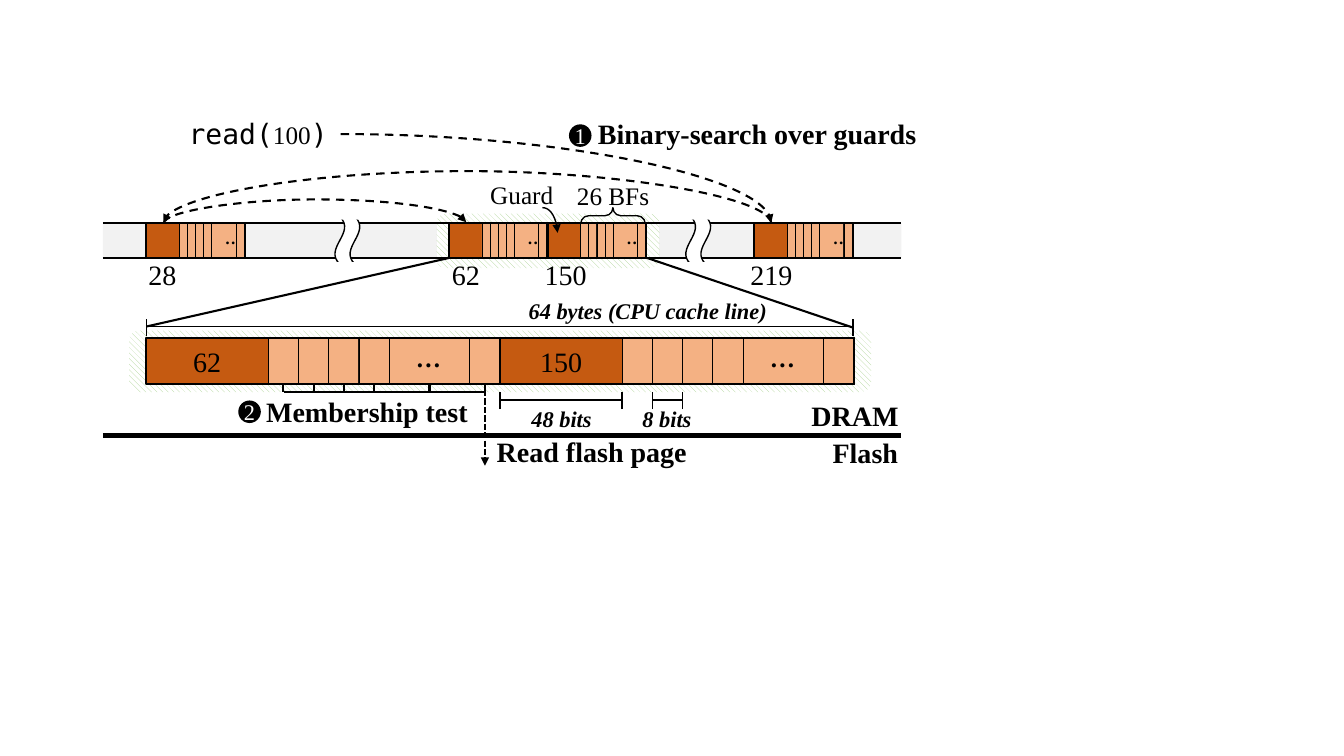
"""Build the slide on binary search over guards and membership tests in a cache line."""
from lxml import etree
from pptx import Presentation
from pptx import util as u
from pptx.dml.color import RGBColor
from pptx.enum import dml, shapes, text
from pptx.oxml.ns import qn


class Theme:
    black, white = "000000", "FFFFFF"
    guard, filter, band, halo = "C55A11", "F4B183", "F2F2F2", "A9D18E"
    serif, mono = "Times New Roman", "DejaVu Sans Mono"
    large, medium, small, tiny = 20, 18, 16, 12


KIND, LINK, DASH = shapes.MSO_SHAPE, shapes.MSO_CONNECTOR, dml.MSO_LINE
CENTER, LEFT = text.PP_ALIGN.CENTER, text.PP_ALIGN.LEFT

prs = Presentation()
prs.slide_width, prs.slide_height = u.Inches(13.33), u.Inches(7.5)
slide = prs.slides.add_slide(prs.slide_layouts[6])


def put(at, words="", kind=None, fill=None, edge=0, size=Theme.large, font=Theme.serif,
        color=Theme.black, bold=False, italic=False, align=CENTER, wrap=False,
        turn=0, adjust=()):
    """Place a text box, or a shape of the given kind, with formatted text."""
    place = [u.Inches(length) for length in at]
    if kind is None:
        box = slide.shapes.add_textbox(*place)
    else:
        box = slide.shapes.add_shape(kind, *place)
        box.shadow.inherit = False
        box.rotation = turn
        for index, value in enumerate(adjust):
            box.adjustments[index] = value
        if fill:
            box.fill.solid()
            box.fill.fore_color.rgb = RGBColor.from_string(fill)
        else:
            box.fill.background()
        if edge:
            box.line.color.rgb = RGBColor.from_string(Theme.black)
            box.line.width = u.Pt(edge)
        else:
            box.line.fill.background()
    if words:
        frame = box.text_frame
        frame.word_wrap = wrap
        if kind is not None:
            frame.vertical_anchor = text.MSO_ANCHOR.MIDDLE
            frame.margin_left = frame.margin_right = frame.margin_top = frame.margin_bottom = 0
        paragraph = frame.paragraphs[0]
        paragraph.alignment = align
        runs = [(words, size, font)] if isinstance(words, str) else words
        for part, part_size, part_font in runs:
            run = paragraph.add_run()
            run.text = part
            run.font.size, run.font.name = u.Pt(part_size), part_font
            run.font.bold, run.font.italic = bold, italic
            run.font.color.rgb = RGBColor.from_string(color)
    return box


def link(start, end, width=1.5, dash=None, arrow=False, kind=LINK.STRAIGHT):
    """Draw a connector between two points."""
    joint = slide.shapes.add_connector(kind, *[u.Inches(v) for v in (*start, *end)])
    joint.line.color.rgb = RGBColor.from_string(Theme.black)
    joint.line.width = u.Pt(width)
    if dash:
        joint.line.dash_style = dash
    if arrow:
        etree.SubElement(joint.line._get_or_add_ln(), qn("a:tailEnd"), type="triangle")
    etree.SubElement(joint._element.spPr, qn("a:effectLst"))
    return joint


put((1.02, 2.21, 7.92, 0.35), kind=KIND.RECTANGLE, fill=Theme.band)
for at in [(4.33, 2.12, 2.21, 0.54), (1.28, 3.28, 7.36, 0.61)]:
    halo = put(at, kind=KIND.ROUNDED_RECTANGLE)
    halo.fill.patterned()
    halo.fill.pattern = dml.MSO_PATTERN.WIDE_DOWNWARD_DIAGONAL
    halo.fill.fore_color.rgb = RGBColor.from_string(Theme.halo)
    halo.fill.back_color.rgb = RGBColor.from_string(Theme.white)

for y, width in [(2.21, 1.5), (2.56, 1.5), (4.32, 3)]:
    link((1.02, y), (8.94, y), width)

for x in (3.21, 6.69):
    put((x, 2.26, 0.47, 0.25), kind=KIND.WAVE, fill=Theme.white, edge=1, turn=270,
        adjust=(0.2, 0))
    put((x + 0.1, 2.14, 0.27, 0.04), kind=KIND.RECTANGLE, fill=Theme.white)
    put((x + 0.03, 2.6, 0.4, 0.04), kind=KIND.RECTANGLE, fill=Theme.white)

strip = dict(top=2.21, height=0.35, widths=[0.33] + [0.08] * 4 + [0.24, 0.09],
             dots=(0.7, 0.18, 0.3), size=Theme.tiny)
cache_line = dict(top=3.35, height=0.46, widths=[1.21] + [0.3] * 4 + [0.8, 0.3],
                  dots=(2.47, 0.66, 0.22), size=Theme.medium)
blocks = [(1.45, "", strip), (4.45, "", strip), (5.43, "", strip), (7.48, "", strip),
          (1.45, "62", cache_line), (4.96, "150", cache_line)]
filters = {}
for left, key, scale in blocks:
    top, height, widths = scale["top"], scale["height"], scale["widths"]
    cells = []
    for index, width in enumerate(widths):
        at = (left + sum(widths[:index]), top, width, height)
        cells.append(put(at, "" if index else key, kind=KIND.RECTANGLE, edge=0.5,
                         fill=Theme.filter if index else Theme.guard))
        if index == 5:
            offset, dots_width, dots_height = scale["dots"]
            put((left + offset, top, dots_width, dots_height), "…", size=scale["size"],
                bold=True, wrap=True)
    put((left, top, sum(widths), height), kind=KIND.RECTANGLE, edge=1.5)
    filters[key] = cells[1:]

link((2.82, 3.89), (4.82, 3.89))
for cell in filters["62"]:
    x = (cell.left + cell.width / 2) / u.Inches(1)
    link((x, 3.81), (x, 3.91), dash=DASH.DASH).begin_connect(cell, 2)
link((4.81, 3.87), (4.81, 4.62), dash=DASH.SQUARE_DOT, arrow=True)

for left, right, y in [(1.45, 8.46, 3.24), (4.96, 6.17, 3.97), (6.47, 6.77, 3.97)]:
    link((left, y), (right, y), 1)
    for x in (left, right):
        link((x, y + 0.09), (x, y - 0.08), 1)
link((4.45, 2.56), (1.45, 3.24))
link((6.42, 2.56), (8.46, 3.25))

query = link((3.38, 1.33), (7.65, 2.21), dash=DASH.DASH, arrow=True, kind=LINK.CURVE)
pointer = link((5.38, 2.06), (5.53, 2.31), 1, arrow=True, kind=LINK.CURVE)
for bend in (query, pointer):
    bend._element.spPr.find(qn("a:prstGeom")).set("prst", "curvedConnector2")

hops = [((4.63, -0.8), 6.03, 5300000, dict(rot="16200000", flipV="1")),
        ((3.12, 0.71), 3, 2400000, dict(rot="5400000", flipH="1", flipV="1"))]
for (x, y), span, rise, turns in hops:
    hop = link((x, y), (x + 0.01, y + span), dash=DASH.DASH, arrow=True, kind=LINK.CURVE)
    frame = hop._element.spPr.find(qn("a:xfrm"))
    for name, value in turns.items():
        frame.set(name, value)
    guides = hop._element.spPr.find(qn("a:prstGeom")).find(qn("a:avLst"))
    etree.SubElement(guides, qn("a:gd"), name="adj1", fmla=f"val {rise}")

put((6, 1.82, 0.16, 0.64), kind=KIND.RIGHT_BRACE, edge=1, turn=270, adjust=(0.495, 0.499))

put((1.54, 1.11, 2.04, 0.44), [("read(", Theme.large, Theme.mono),
                               ("100", Theme.medium, Theme.serif),
                               (")", Theme.large, Theme.mono)], wrap=True)
for at, words in [((1.37, 2.51, 0.48, 0.44), "28"), ((4.38, 2.51, 0.48, 0.44), "62"),
                  ((5.3, 2.51, 0.62, 0.44), "150"), ((7.34, 2.51, 0.62, 0.44), "219")]:
    put(at, words)
for at, words in [((4.76, 1.73, 0.83, 0.4), "Guard"), ((5.62, 1.74, 0.92, 0.4), "26 BFs")]:
    put(at, words, size=Theme.medium)
for at, words in [((5.14, 2.9, 2.57, 0.37), "64 bytes (CPU cache line)"),
                  ((5.16, 3.97, 0.82, 0.37), "48 bits"),
                  ((6.26, 3.97, 0.71, 0.37), "8 bits")]:
    put(at, words, size=Theme.small, bold=True, italic=True)
for at, words, align in [((5.82, 1.11, 3.38, 0.44), "Binary-search over guards", CENTER),
                         ((2.53, 3.86, 2.22, 0.44), "Membership test", CENTER),
                         ((4.82, 4.26, 2.1, 0.44), "Read flash page", CENTER),
                         ((7.95, 3.9, 1.08, 0.44), "DRAM", LEFT),
                         ((8.16, 4.27, 0.86, 0.44), "Flash", LEFT)]:
    put(at, words, bold=True, align=align)
for x, y, step in [(5.65, 1.24, "1"), (2.37, 3.98, "2")]:
    put((x, y, 0.21, 0.21), step, kind=KIND.OVAL, fill=Theme.black, edge=1,
        size=Theme.small, color=Theme.white)

prs.save("out.pptx")
